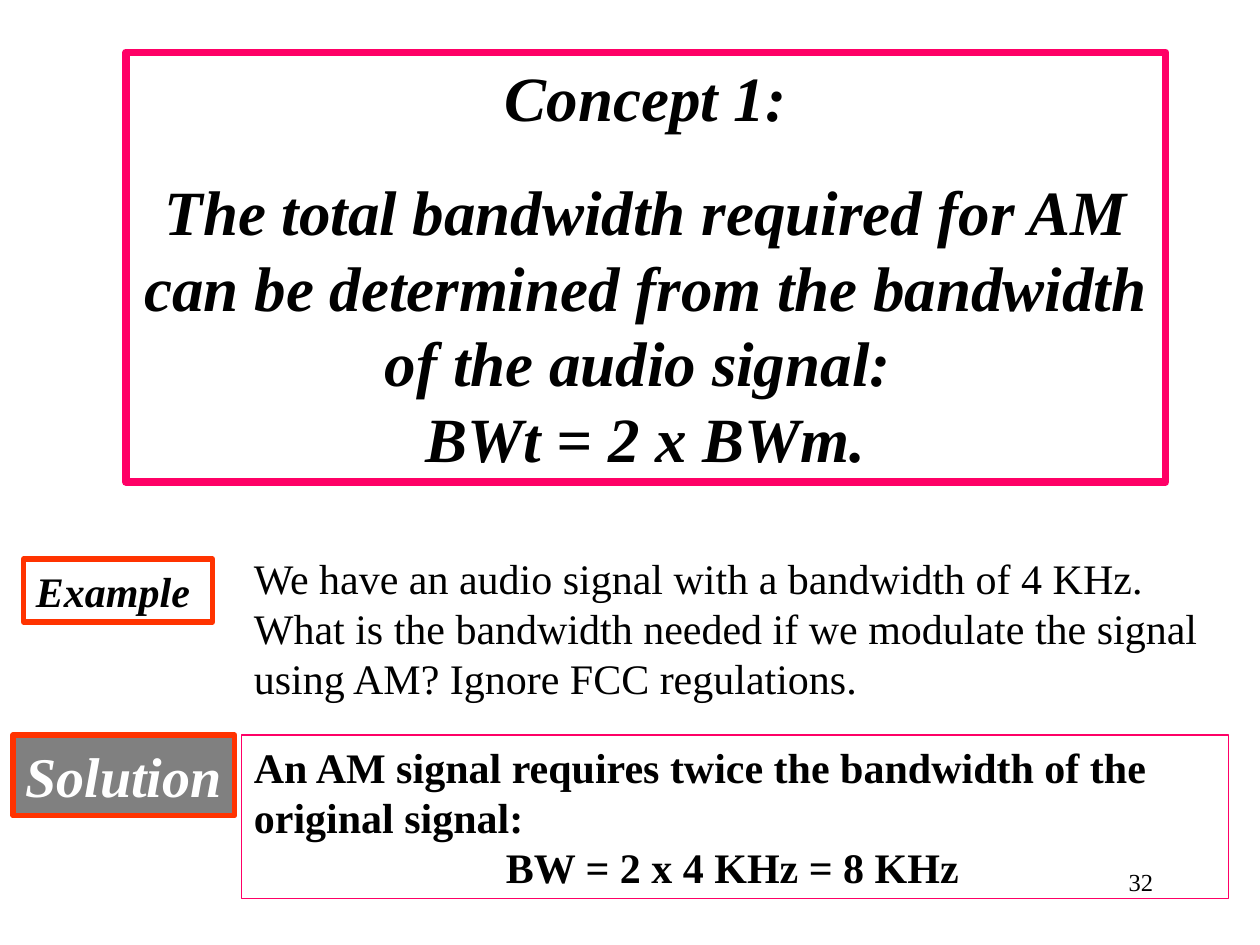
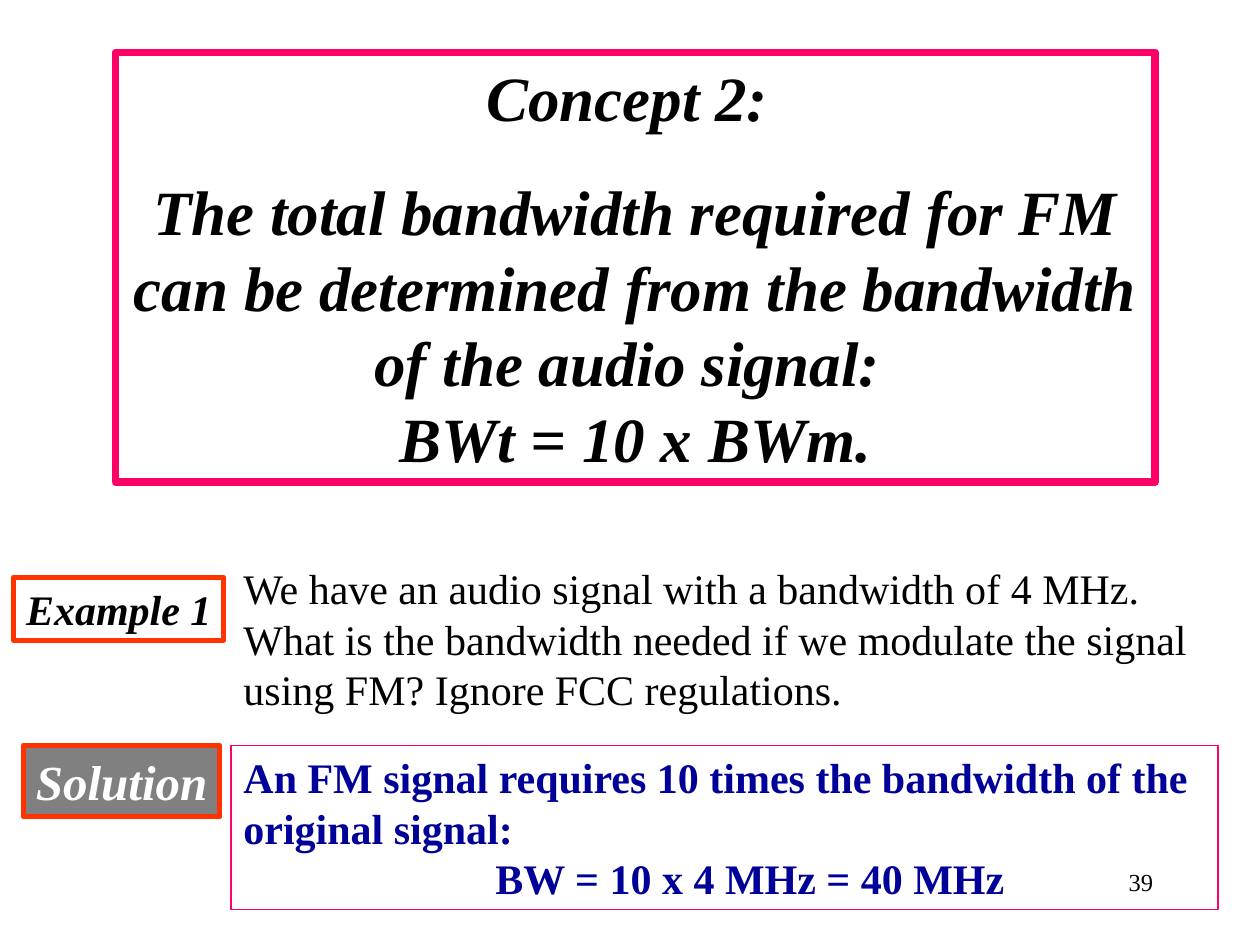
from pptx import Presentation
from pptx.dml.color import RGBColor
from pptx.enum.shapes import MSO_SHAPE
from pptx.enum.text import MSO_ANCHOR, PP_ALIGN
from pptx.util import Inches, Pt

BLACK = RGBColor(0x00, 0x00, 0x00)
WHITE = RGBColor(0xFF, 0xFF, 0xFF)
GRAY = RGBColor(0x80, 0x80, 0x80)
NAVY = RGBColor(0x00, 0x00, 0x99)
PINK = RGBColor(0xFF, 0x00, 0x66)
ORANGE = RGBColor(0xFF, 0x33, 0x00)
FONT = "Times New Roman"

deck = Presentation()
deck.slide_width = Inches(10)
deck.slide_height = Inches(7.5)
COL = deck.slide_width / 120
ROW = deck.slide_height / 90


def add_box(slide, grid, lines, size, color=BLACK, bold=False, slant=False,
            fill=None, line=None, weight=3):
    """Place text at grid (column, row, columns, rows), framed if line is set."""
    col, row, wide, high = grid
    place = [int(v) for v in (col * COL, row * ROW, wide * COL, high * ROW)]
    if line is None:
        box = slide.shapes.add_textbox(*place)
    else:
        box = slide.shapes.add_shape(MSO_SHAPE.RECTANGLE, *place)
        box.shadow.inherit = False
        box.fill.solid()
        box.fill.fore_color.rgb = fill
        box.line.color.rgb = line
        box.line.width = Pt(weight)
    frame = box.text_frame
    frame.word_wrap = True
    frame.vertical_anchor = MSO_ANCHOR.TOP
    for i, text in enumerate(lines):
        para = frame.paragraphs[0] if i == 0 else frame.add_paragraph()
        para.text = text
        para.alignment = PP_ALIGN.LEFT
        for run in para.runs:
            font = run.font
            font.name, font.size = FONT, Pt(size)
            font.bold, font.italic = bold, slant
            font.color.rgb = color
    return frame


# Each slide: heading, signal, unit, factor, wording, result, label, number,
# shift of the grid, label and solution places, solution size, answer colour
CASES = [
    ("Concept 1:", "AM", "KHz", 2, "twice", 8, "Example", "32", 0, 93,
     (2.25, 53.25, 18, 6), (1.25, 70, 21.1, 7.7), 32, BLACK),
    ("Concept 2: ", "FM", "MHz", 10, "10 times", 40, "Example 1", "39", 1, 94,
     (1.3, 55, 20, 6), (2.25, 71, 18.7, 6.8), 28, NAVY),
]

for (head, kind, unit, times, words, total, label, page, shift, wide,
     tag, badge, size, ink) in CASES:
    slide = deck.slides.add_slide(deck.slide_layouts[6])
    left = 23 - shift

    frame = add_box(slide, tag, [label], 24, bold=True, slant=True,
                    fill=WHITE, line=ORANGE)
    frame.margin_right = 0
    add_box(slide, (left, 52 + shift, wide, 15.6), [
        f"We have an audio signal with a bandwidth of 4 {unit}. "
        "What is the bandwidth needed if we modulate the signal "
        f"using {kind}? Ignore FCC regulations."], 24)

    frame = add_box(slide, badge, ["Solution"], size, WHITE, True, True,
                    GRAY, ORANGE)
    frame.margin_right = 0
    frame = add_box(slide, (left, 70 + shift, 94, 15.6), [
        f"An {kind} signal requires {words} the bandwidth of the "
        "original signal:",
        f"BW = {times} x 4 {unit} = {total} {unit}"],
        24, ink, True, fill=WHITE, line=PINK, weight=0.75)
    frame.paragraphs[1]._p.get_or_add_pPr().set("marL", str(Inches(2)))

    frame = add_box(slide, (12 - shift, 5, 99, 40.9), [
        head,
        f"The total bandwidth required for {kind} can be determined "
        f"from the bandwidth of the audio signal: \vBWt = {times} x BWm."],
        36, bold=True, slant=True, fill=WHITE, line=PINK, weight=4.5)
    for para in frame.paragraphs:
        para.alignment = PP_ALIGN.CENTER
        para.space_after = Pt(10)
    frame.paragraphs[1].space_before = Pt(12)

    frame = add_box(slide, (86, 82, 25, 6), [page], 14)
    frame.paragraphs[0].alignment = PP_ALIGN.RIGHT

deck.save("out.pptx")
